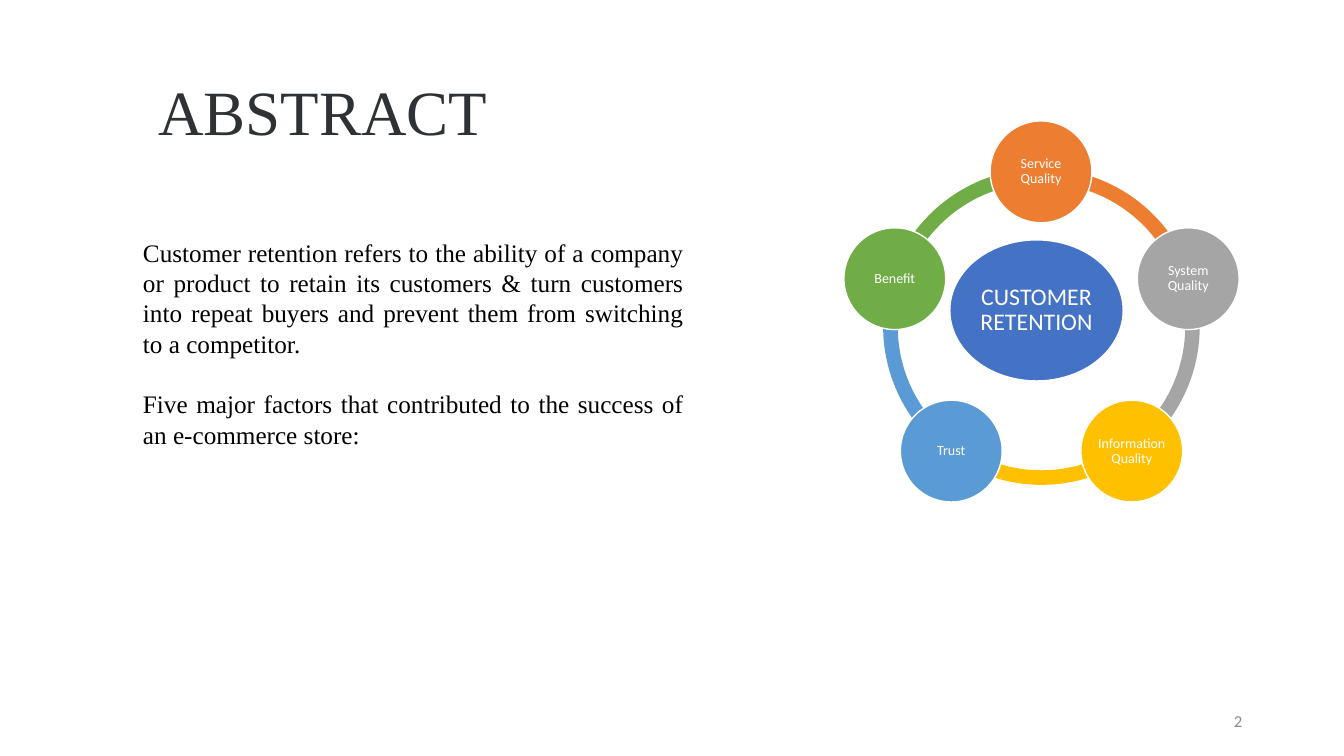
import math
from dataclasses import dataclass

from pptx import Presentation
from pptx.dml.color import RGBColor
from pptx.enum.shapes import MSO_SHAPE
from pptx.enum.text import MSO_ANCHOR, PP_ALIGN
from pptx.util import Emu, Pt

OVAL, BLOCK_ARC = MSO_SHAPE.OVAL, MSO_SHAPE.BLOCK_ARC
TOP, MIDDLE = MSO_ANCHOR.TOP, MSO_ANCHOR.MIDDLE
LEFT, CENTER, RIGHT, JUSTIFY = (
    PP_ALIGN.LEFT, PP_ALIGN.CENTER, PP_ALIGN.RIGHT, PP_ALIGN.JUSTIFY)

EMU_PER_PX = 9144  # 100 px to the inch
SERIF, SANS = "Times New Roman", "Calibri"
WHITE = "FFFFFF"

RING_X, RING_Y = 1033, 324
RING_SIZE, RING_THICKNESS = 314, 0.046
ORBIT_RADIUS, FACTOR_SIZE = 153, 101
ADJUSTMENT_PER_DEGREE = 0.6


@dataclass(frozen=True)
class Box:
    left: int
    top: int
    width: int
    height: int

    def emu(self) -> tuple:
        return tuple(px(v) for v in (self.left, self.top, self.width, self.height))


@dataclass(frozen=True)
class TextStyle:
    font: str
    size: int
    color: str
    align: PP_ALIGN
    anchor: MSO_ANCHOR = TOP
    line_spacing: float | Pt = 1.0
    space_after: int = 0


@dataclass(frozen=True)
class Factor:
    label: str
    color: str


TITLE = TextStyle(SERIF, 45, "2F3235", LEFT, line_spacing=0.9)
BODY = TextStyle(SERIF, 18, "000000", JUSTIFY, line_spacing=Pt(21.5), space_after=22)
PAGE_NUMBER = TextStyle(SANS, 12, "8C8C8C", RIGHT, MIDDLE)
HUB_LABEL = TextStyle(SANS, 17, WHITE, CENTER, MIDDLE, 0.9)
FACTOR_LABEL = TextStyle(SANS, 10, WHITE, CENTER, MIDDLE, 0.9)

ABSTRACT = [
    "Customer retention refers to the ability of a company or product "
    "to retain its customers & turn customers into repeat buyers "
    "and prevent them from switching to a competitor.",
    "Five major factors that contributed to the success of an e-commerce store:",
]
FACTORS = [
    Factor("Service Quality", "ED7D31"),
    Factor("System Quality", "A5A5A5"),
    Factor("Information Quality", "FFC000"),
    Factor("Trust", "5B9BD5"),
    Factor("Benefit", "70AD47"),
]


def px(value: int) -> Emu:
    return Emu(value * EMU_PER_PX)


def rgb(color: str) -> RGBColor:
    return RGBColor.from_string(color)


def centered_square(x: float, y: float, size: int) -> Box:
    return Box(round(x - size / 2), round(y - size / 2), size, size)


def write(frame, paragraphs: list[str], style: TextStyle) -> None:
    frame.word_wrap = True
    frame.vertical_anchor = style.anchor
    for index, text in enumerate(paragraphs):
        paragraph = frame.paragraphs[0] if index == 0 else frame.add_paragraph()
        paragraph.alignment = style.align
        paragraph.line_spacing = style.line_spacing
        paragraph.space_after = Pt(style.space_after)
        run = paragraph.add_run()
        run.text = text
        run.font.name = style.font
        run.font.size = Pt(style.size)
        run.font.color.rgb = rgb(style.color)


def add_text(slide, box: Box, paragraphs: list[str], style: TextStyle) -> None:
    write(slide.shapes.add_textbox(*box.emu()).text_frame, paragraphs, style)


def add_filled(slide, kind: MSO_SHAPE, box: Box, color: str):
    shape = slide.shapes.add_shape(kind, *box.emu())
    shape.shadow.inherit = False
    shape.fill.solid()
    shape.fill.fore_color.rgb = rgb(color)
    return shape


def add_arc(slide, start: float, end: float, color: str) -> None:
    """Draw a ring segment clockwise between two angles in degrees."""
    ring = centered_square(RING_X, RING_Y, RING_SIZE)
    arc = add_filled(slide, BLOCK_ARC, ring, color)
    arc.line.fill.background()
    arc.adjustments[0] = start * ADJUSTMENT_PER_DEGREE
    arc.adjustments[1] = end * ADJUSTMENT_PER_DEGREE
    arc.adjustments[2] = RING_THICKNESS


def add_bubble(slide, box: Box, label: str, color: str,
               style: TextStyle, inset: int) -> None:
    bubble = add_filled(slide, OVAL, box, color)
    bubble.line.color.rgb = rgb(WHITE)
    bubble.line.width = Pt(1)
    frame = bubble.text_frame
    frame.margin_left = frame.margin_right = px(inset)
    frame.margin_top = frame.margin_bottom = px(inset)
    write(frame, [label], style)


def add_retention_cycle(slide) -> None:
    step = 360 / len(FACTORS)
    angles = [(270 + step * index) % 360 for index in range(len(FACTORS))]
    for factor, angle in zip(FACTORS, angles):
        add_arc(slide, angle, (angle + step) % 360, factor.color)
    add_bubble(slide, Box(942, 238, 172, 140), "CUSTOMER RETENTION",
               "4472C4", HUB_LABEL, 2)
    for factor, angle in zip(FACTORS, angles):
        x = RING_X + ORBIT_RADIUS * math.cos(math.radians(angle))
        y = RING_Y + ORBIT_RADIUS * math.sin(math.radians(angle))
        add_bubble(slide, centered_square(x, y, FACTOR_SIZE), factor.label,
                   factor.color, FACTOR_LABEL, 1)


def main() -> None:
    presentation = Presentation()
    presentation.slide_width, presentation.slide_height = px(1333), px(750)
    slide = presentation.slides.add_slide(presentation.slide_layouts[6])
    add_text(slide, Box(132, 231, 556, 252), ABSTRACT, BODY)
    add_text(slide, Box(147, 75, 1149, 125), ["ABSTRACT"], TITLE)
    add_text(slide, Box(942, 695, 300, 40), ["2"], PAGE_NUMBER)
    add_retention_cycle(slide)
    presentation.save("out.pptx")


if __name__ == "__main__":
    main()
